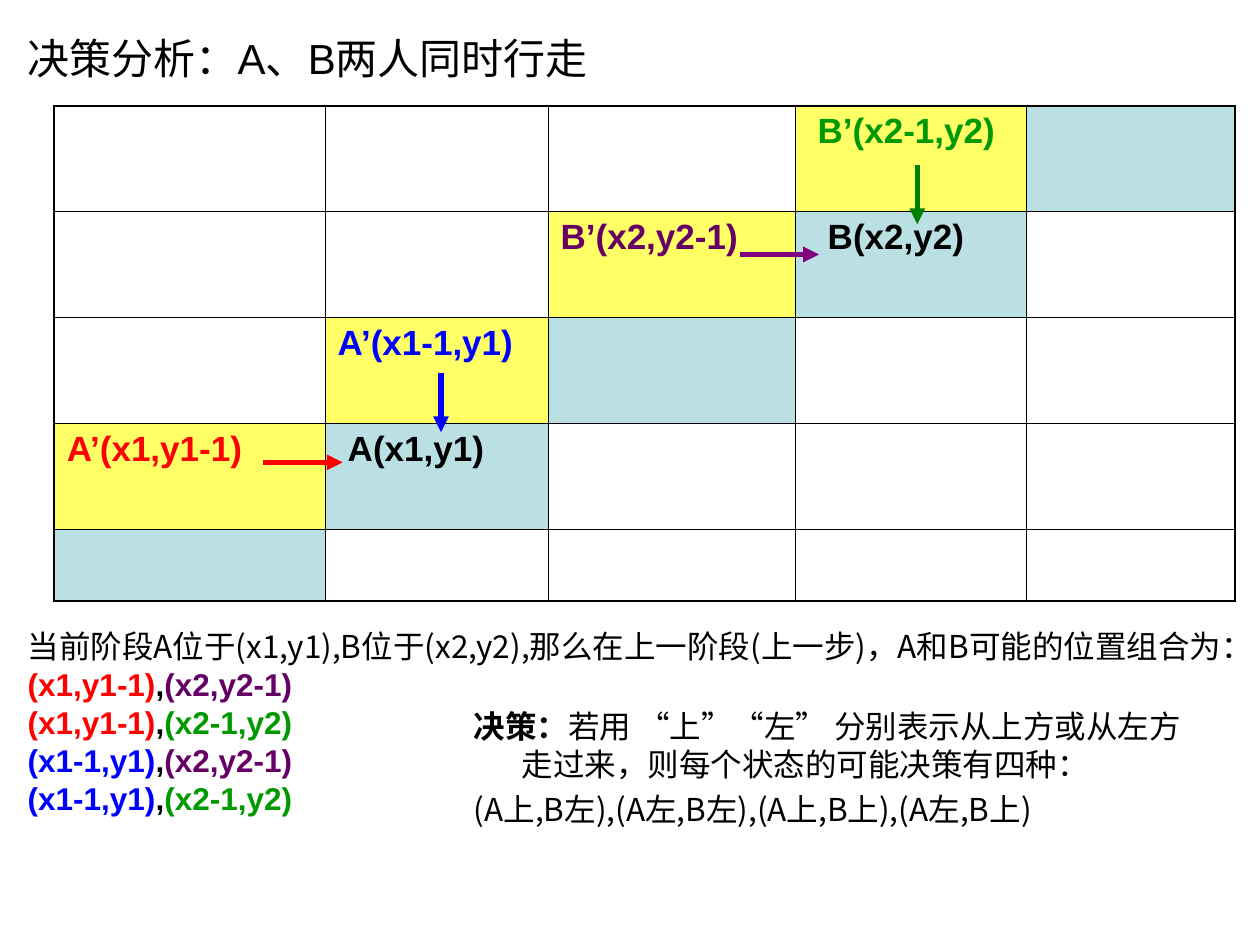
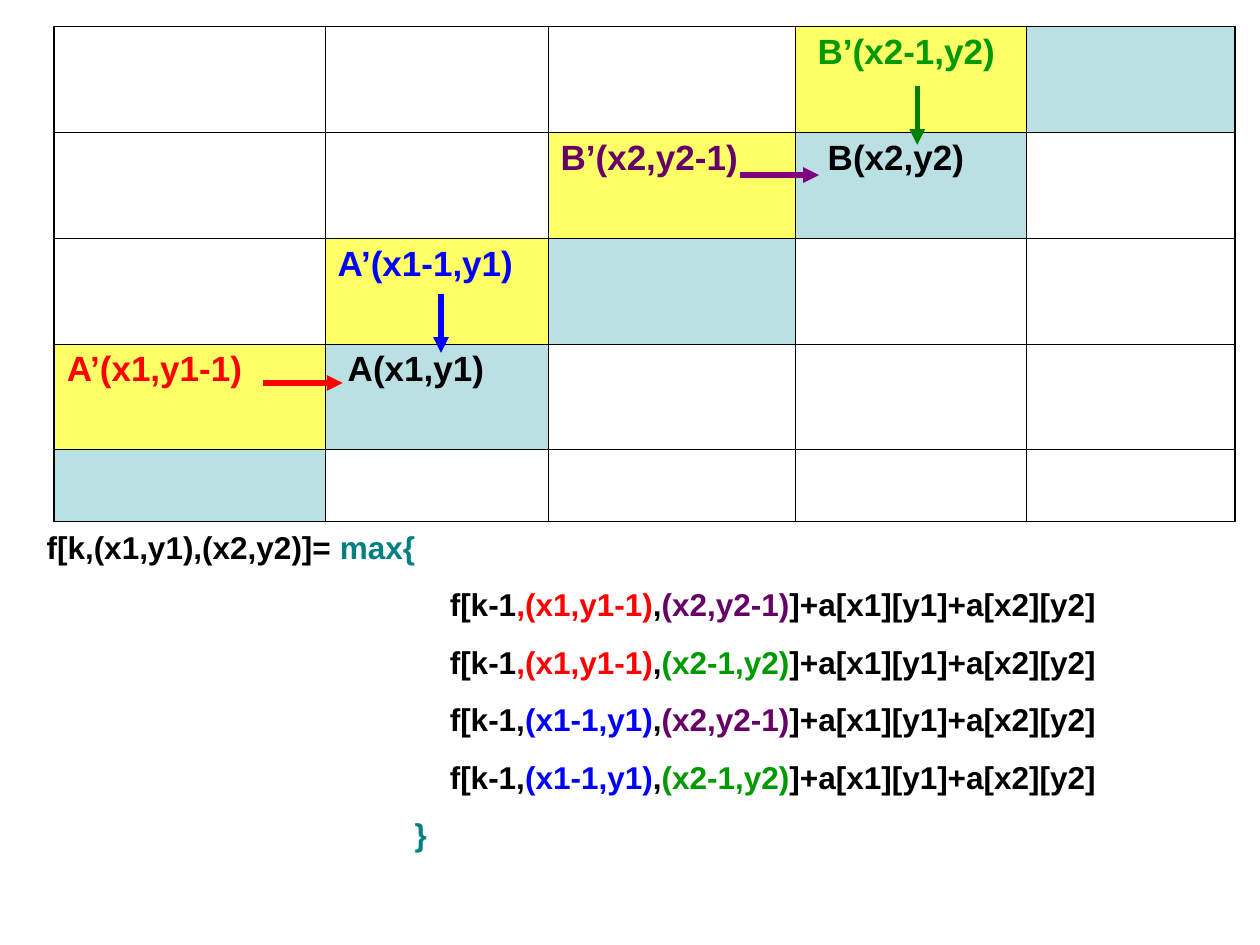
from lxml import etree
from pptx import Presentation, util as u
from pptx.dml.color import RGBColor
from pptx.enum import shapes, text
from pptx.oxml.ns import qn

BLACK = RGBColor(0, 0, 0)
RED = RGBColor(0xFF, 0, 0)
BLUE = RGBColor(0, 0, 0xFF)
VIOLET = RGBColor(0x66, 0, 0x66)
GREEN = RGBColor(0, 0x99, 0)
PURPLE = RGBColor(0x80, 0, 0x80)
DARK_GREEN = RGBColor(0, 0x80, 0)
TEAL = RGBColor(0, 0x80, 0x80)
YELLOW = RGBColor(0xFF, 0xFF, 0x66)
PALE = RGBColor(0xBB, 0xE0, 0xE3)
LATIN, SERIF, CJK = "Arial", "Times New Roman", "Noto Sans CJK SC"
SPACE = 0.08  # inches, one space at 20 pt

COLS = [2.15, 1.77, 1.96, 1.84, 1.65]
ROWS = [0.84] * 4 + [0.57]
GRID_LEFT = 0.43
# (row, column): label, colour, indent in spaces
LABELS = {
    (0, 3): ("B’(x2-1,y2)", GREEN, 1),
    (1, 2): ("B’(x2,y2-1)", VIOLET, 0),
    (1, 3): ("B(x2,y2)", BLACK, 2),
    (2, 1): ("A’(x1-1,y1)", BLUE, 0),
    (3, 0): ("A’(x1,y1-1)", RED, 0),
    (3, 1): ("A(x1,y1)", BLACK, 1),
}
PREVIOUS = {(0, 3), (1, 2), (2, 1), (3, 0)}
# colour, start x, start y below the grid's top, run across, run down
ARROWS = [
    (RED, 2.09, 2.83, 0.63, 0),
    (BLUE, 3.5, 2.12, 0, 0.47),
    (PURPLE, 5.87, 1.18, 0.63, 0),
    (DARK_GREEN, 7.28, 0.47, 0, 0.47),
]
# The four pairs of positions one step earlier
PAIRS = [(a, b) for a in (("(x1,y1-1)", RED), ("(x1-1,y1)", BLUE))
         for b in (("(x2,y2-1)", VIOLET), ("(x2-1,y2)", GREEN))]


def write(sp, box, paragraphs, size=18, before=0):
    """Place sp; a paragraph is (left margin, indent, runs of text, colour, font, bold)."""
    sp.left, sp.top, sp.width, sp.height = [u.Inches(v) for v in box]
    tf = sp.text_frame
    layout = {"word_wrap": True, "auto_size": text.MSO_AUTO_SIZE.NONE,
              "vertical_anchor": text.MSO_ANCHOR.TOP,
              "margin_left": u.Inches(0.1), "margin_right": u.Inches(0.1),
              "margin_top": u.Inches(0.05), "margin_bottom": u.Inches(0.05)}
    for name, value in layout.items():
        setattr(tf, name, value)
    for i, (margin, indent, runs) in enumerate(paragraphs):
        p = tf.paragraphs[0] if i == 0 else tf.add_paragraph()
        pPr = p._p.get_or_add_pPr()
        pPr.set("marL", str(u.Inches(margin)))
        pPr.set("indent", str(u.Inches(indent)))
        etree.SubElement(pPr, qn("a:buNone"))
        p.alignment = text.PP_ALIGN.LEFT
        p.line_spacing = u.Pt(size * 1.2)
        p.space_before = u.Pt(before if i else 0)
        for words, color, font, bold in runs:
            r = p.add_run()
            r.text = words
            for name, value in {"size": u.Pt(size), "name": font, "bold": bold}.items():
                setattr(r.font, name, value)
            r.font.color.rgb = color
            etree.SubElement(r._r.get_or_add_rPr(), qn("a:ea"), typeface=CJK)


def draw_grid(s, top):
    frame = s.shapes.add_table(len(ROWS), len(COLS), u.Inches(GRID_LEFT), u.Inches(top),
                               u.Inches(sum(COLS)), u.Inches(sum(ROWS)))
    table = frame.table
    table.first_row = table.horz_banding = False
    for col, width in zip(table.columns, COLS):
        col.width = u.Inches(width)
    for row, height in zip(table.rows, ROWS):
        row.height = u.Inches(height)
    last_row, last_col = len(ROWS) - 1, len(COLS) - 1
    for y in range(len(ROWS)):
        for x in range(len(COLS)):
            cell = table.cell(y, x)
            if (y, x) in PREVIOUS or x + y == last_row:
                cell.fill.solid()
                cell.fill.fore_color.rgb = YELLOW if (y, x) in PREVIOUS else PALE
            else:
                cell.fill.background()
            if (y, x) in LABELS:
                label, color, spaces = LABELS[y, x]
                cell.margin_left = u.Inches(0.1 + spaces * SPACE)
                r = cell.text_frame.paragraphs[0].add_run()
                r.text = label
                for name, value in {"size": u.Pt(20), "name": LATIN, "bold": True}.items():
                    setattr(r.font, name, value)
                r.font.color.rgb = color
            outer = {"L": x == 0, "R": x == last_col, "T": y == 0, "B": y == last_row}
            for i, (side, thick) in enumerate(outer.items()):
                ln = etree.Element(qn(f"a:ln{side}"), w=str(u.Pt(1.08 if thick else 0.45)))
                fill = etree.SubElement(ln, qn("a:solidFill"))
                etree.SubElement(fill, qn("a:srgbClr"), val=str(BLACK))
                cell._tc.get_or_add_tcPr().insert(i, ln)
    for color, x, y, across, down in ARROWS:
        ends = [u.Inches(v) for v in (x, top + y, x + across, top + y + down)]
        line = s.shapes.add_connector(shapes.MSO_CONNECTOR.STRAIGHT, *ends)
        line.line.color.rgb = color
        line.line.width = u.Pt(3)
        etree.SubElement(line.line._get_or_add_ln(), qn("a:tailEnd"), type="triangle")
        etree.SubElement(line._element.spPr, qn("a:effectLst"))


prs = Presentation()
prs.slide_width, prs.slide_height = u.Inches(10), u.Inches(7.5)

# Slide 1: the decision analysis
s = prs.slides.add_slide(prs.slide_layouts[3])
title, positions, decisions = s.placeholders
write(title, (0.12, 0.21, 5.28, 0.5), [(0, 0, [
    ("决策分析：", BLACK, SERIF, False),
    ("A、B", BLACK, LATIN, False),
    ("两人同时行走", BLACK, SERIF, False)])], size=24)
draw_grid(s, 0.84)
intro = "当前阶段A位于(x1,y1),B位于(x2,y2),那么在上一阶段(上一步)，A和B可能的位置组合为："
write(positions, (0.12, 4.93, 9.76, 1.9),
      [(0, 0, [(intro, BLACK, CJK, False)])]
      + [(0, 0, [(*a, LATIN, True), (",", BLACK, LATIN, True), (*b, LATIN, True)])
         for a, b in PAIRS])
write(decisions, (3.66, 5.56, 5.83, 1.65), [
    (0.38, -0.38, [
        ("决策：", BLACK, CJK, True),
        ("若用 “上”“左” 分别表示从上方或从左方走过来，则每个状态的可能决策有四种：",
         BLACK, CJK, False)]),
    (0.38, -0.38, [("(A上,B左),(A左,B左),(A上,B上),(A左,B上)", BLACK, CJK, False)]),
], before=4.5)

# Slide 2: the recurrence
s = prs.slides.add_slide(prs.slide_layouts[1])
title, recurrence = s.placeholders
title._element.getparent().remove(title._element)
draw_grid(s, 0.21)
lines = [(0, [("f[k,(x1,y1),(x2,y2)]= ", BLACK), ("max{", TEAL)])]
for a, b in PAIRS:
    comma = (",", RED if a[1] == RED else BLACK)
    lines.append((3.2, [("f[k-1", BLACK), comma, a, (",", BLACK), b,
                        ("]+a[x1][y1]+a[x2][y2]", BLACK)]))
lines.append((2.92, [("}", TEAL)]))
write(recurrence, (0.27, 4.14, 9.73, 2.68),
      [(margin, 0, [(*run, LATIN, True) for run in runs]) for margin, runs in lines],
      before=11.2)

prs.save("out.pptx")
